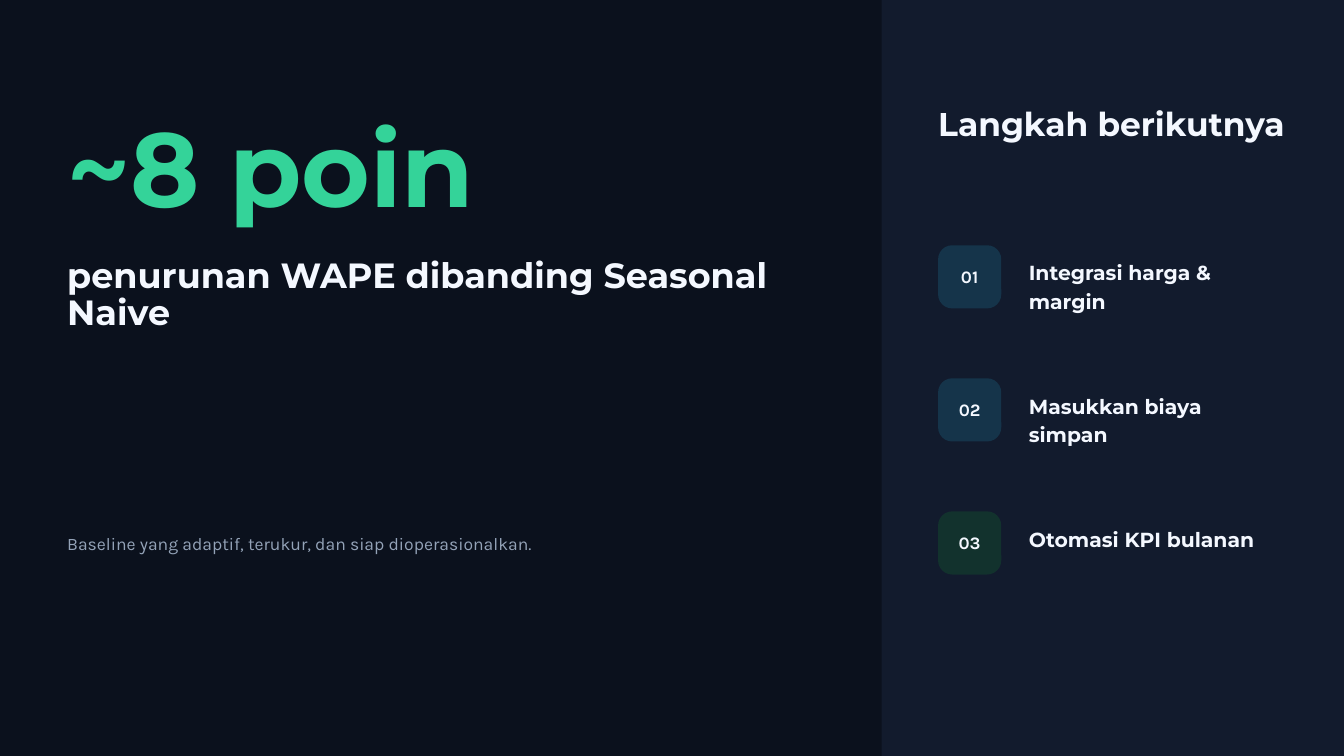
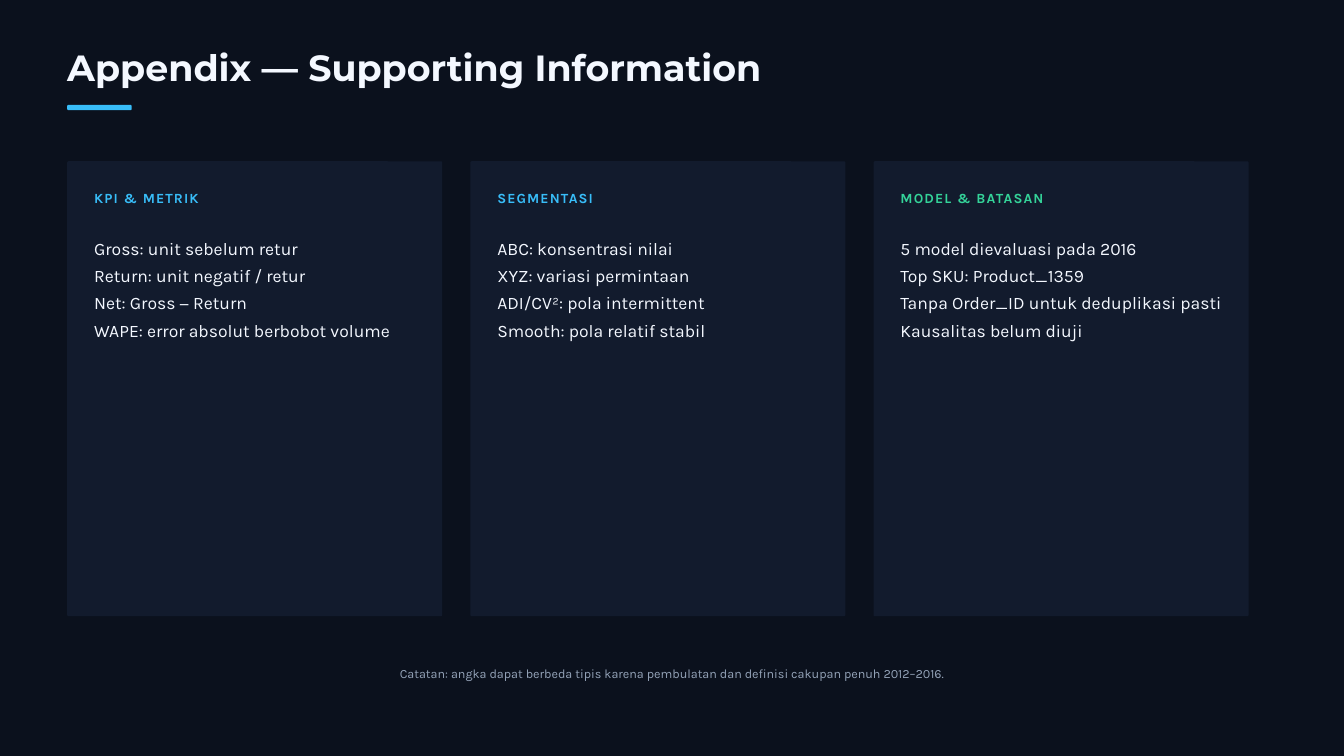
from typing import NamedTuple

from pptx import Presentation
from pptx.dml.color import RGBColor
from pptx.enum.shapes import MSO_SHAPE as Shape
from pptx.enum.text import MSO_ANCHOR as Anchor, PP_ALIGN as Align
from pptx.util import Inches, Pt

COLORS = {
    "background": "0B111D",
    "panel": "121B2D",
    "text": "F4F8FF",
    "muted": "94A3B8",
    "blue": "38BDF8",
    "green": "34D399",
    "blue_badge": "15344A",
    "green_badge": "12322D",
}
HEADING, BODY = "Montserrat", "Karla"
MARGIN = 1

STEPS = [
    ("Integrasi harga & margin", "blue_badge"),
    ("Masukkan biaya simpan", "blue_badge"),
    ("Otomasi KPI bulanan", "green_badge"),
]
CARDS = [
    ("KPI & METRIK", "blue", [
        "Gross: unit sebelum retur",
        "Return: unit negatif / retur",
        "Net: Gross − Return",
        "WAPE: error absolut berbobot volume",
    ]),
    ("SEGMENTASI", "blue", [
        "ABC: konsentrasi nilai",
        "XYZ: variasi permintaan",
        "ADI/CV²: pola intermittent",
        "Smooth: pola relatif stabil",
    ]),
    ("MODEL & BATASAN", "green", [
        "5 model dievaluasi pada 2016",
        "Top SKU: Product_1359",
        "Tanpa Order_ID untuk deduplikasi pasti",
        "Kausalitas belum diuji",
    ]),
]


class Box(NamedTuple):
    """An area of the slide, in inches."""
    left: float
    top: float
    width: float
    height: float

    def inner(self, left, top, width, height):
        """Return an area placed relative to this one."""
        return Box(self.left + left, self.top + top, width, height)

    def lengths(self):
        return [Inches(value) for value in self]


def rgb(name):
    return RGBColor.from_string(COLORS[name])


def add_page(deck):
    page = deck.slides.add_slide(deck.slide_layouts[6])
    page.background.fill.solid()
    page.background.fill.fore_color.rgb = rgb("background")
    return page


def write(frame, text, font, size, leading, color="text", bold=False,
          align=Align.LEFT, tracking=0):
    """Fill a text frame; size, leading and tracking are in points."""
    frame.word_wrap = True
    frame.margin_left = frame.margin_right = 0
    frame.margin_top = frame.margin_bottom = 0
    frame.text = text
    for para in frame.paragraphs:
        para.alignment = align
        para.line_spacing = Pt(leading)
        for span in para.runs:
            span.font.name = font
            span.font.size = Pt(size)
            span.font.bold = bold
            span.font.color.rgb = rgb(color)
            if tracking:
                span.font._element.set("spc", str(round(tracking * 100)))


def add_text(page, box, text, font, size, leading, **style):
    frame = page.shapes.add_textbox(*box.lengths()).text_frame
    write(frame, text, font, size, leading, **style)


def add_block(page, box, color, radius=0):
    kind = Shape.ROUNDED_RECTANGLE if radius else Shape.RECTANGLE
    block = page.shapes.add_shape(kind, *box.lengths())
    if radius:
        block.adjustments[0] = radius / min(box.width, box.height)
    block.shadow.inherit = False
    block.fill.solid()
    block.fill.fore_color.rgb = rgb(color)
    block.line.fill.background()
    return block


def add_result(page, box):
    add_text(page, box.inner(0, 1.84, 9.38, 1.65), "~8 poin",
             HEADING, 112.5, 112.5, color="green", bold=True)
    add_text(page, box.inner(0, 3.83, 11.46, 1.14),
             "penurunan WAPE dibanding Seasonal Naive",
             HEADING, 37.5, 40.5, bold=True)
    add_text(page, box.inner(0, 7.89, 10.73, 0.34),
             "Baseline yang adaptif, terukur, dan siap dioperasionalkan.",
             BODY, 18.8, 25.3, color="muted")


def add_step(page, box, number, label, color):
    badge = add_block(page, box.inner(0, 0, 0.94, 0.94), color, radius=0.21)
    write(badge.text_frame, f"{number:02}", BODY, 18.8, 22.5,
          bold=True, align=Align.CENTER)
    badge.text_frame.vertical_anchor = Anchor.MIDDLE
    add_text(page, box.inner(1.35, 0.17, 3.65, 0.8), label,
             HEADING, 21.8, 30.4, bold=True)


def add_next_steps(page, box):
    add_block(page, box, "panel")
    add_text(page, box.inner(0.84, 1.6, 5.21, 0.54), "Langkah berikutnya",
             HEADING, 35.2, 38.1, bold=True)
    for index, (label, color) in enumerate(STEPS):
        row = box.inner(0.84, 3.65 + index * 1.98, 5, 0.97)
        add_step(page, row, index + 1, label, color)


def add_title(page, box, text):
    add_text(page, box, text, HEADING, 39, 42.1, bold=True)
    add_block(page, box.inner(0, 0.83, 0.96, 0.08), "blue", radius=0.02)


def add_card(page, box, heading, color, lines):
    add_block(page, box, "panel", radius=0.02)
    add_text(page, box.inner(0.4, 0.38, 4.79, 0.28), heading,
             BODY, 15, 21, color=color, bold=True, tracking=1.2)
    add_text(page, box.inner(0.4, 1.05, 4.79, 1.55), "\n".join(lines),
             BODY, 18.8, 29.1)


def add_note(page, box, text):
    add_text(page, box, text, BODY, 13.5, 16.9,
             color="muted", align=Align.CENTER)


def build_closing(deck):
    page = add_page(deck)
    add_result(page, Box(MARGIN, 0, 12.12, 11.25))
    add_next_steps(page, Box(13.12, 0, 6.88, 11.25))


def build_appendix(deck):
    page = add_page(deck)
    add_title(page, Box(MARGIN, 0.73, 15.62, 0.61),
              "Appendix — Supporting Information")
    for index, card in enumerate(CARDS):
        add_card(page, Box(MARGIN + index * 6, 2.4, 5.58, 6.77), *card)
    add_note(page, Box(MARGIN, 9.9, 18, 0.22),
             "Catatan: angka dapat berbeda tipis karena pembulatan "
             "dan definisi cakupan penuh 2012–2016.")


def main():
    deck = Presentation()
    deck.slide_width, deck.slide_height = Inches(20), Inches(11.25)
    build_closing(deck)
    build_appendix(deck)
    deck.save("out.pptx")


if __name__ == "__main__":
    main()
